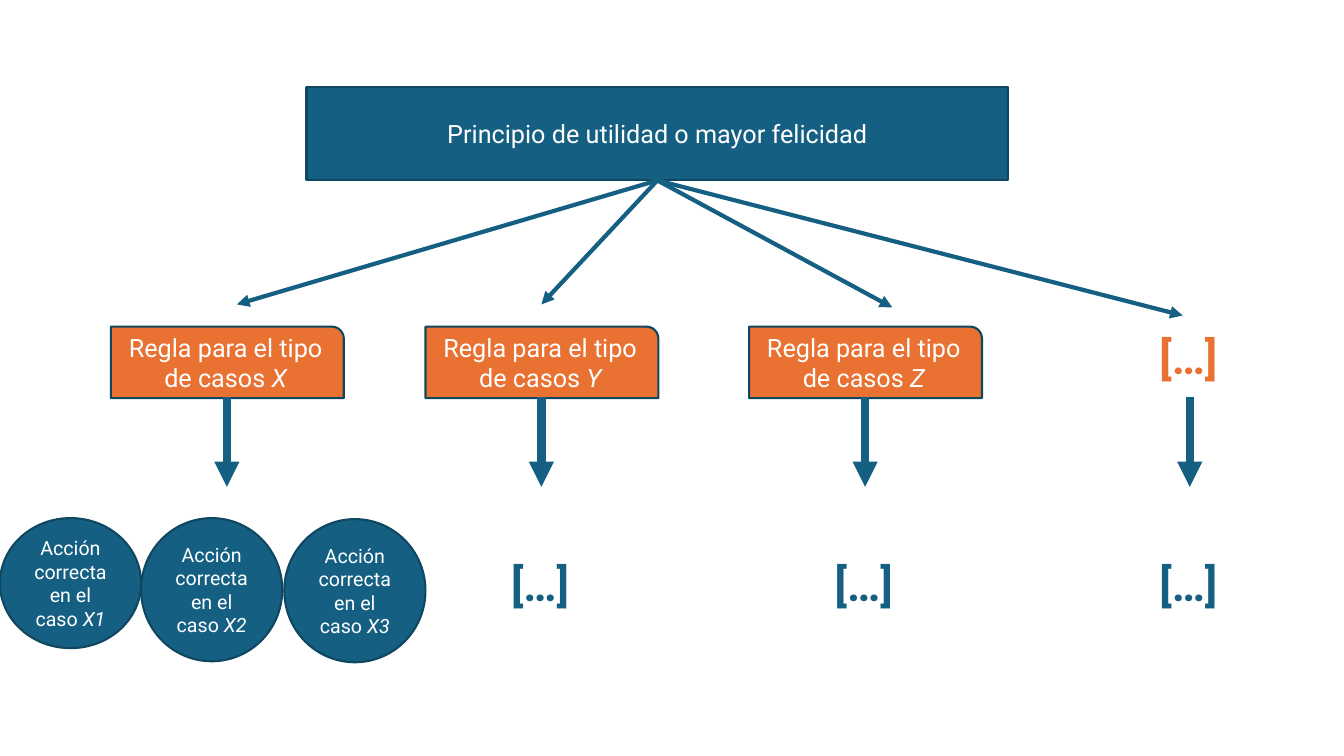
from lxml import etree
from pptx import Presentation
from pptx.dml.color import RGBColor
from pptx.enum.shapes import MSO_CONNECTOR, MSO_SHAPE
from pptx.enum.text import MSO_ANCHOR, MSO_AUTO_SIZE, PP_ALIGN
from pptx.oxml.ns import qn
from pptx.util import Inches, Pt

RECTANGLE = MSO_SHAPE.RECTANGLE
RULE_SHAPE = MSO_SHAPE.ROUND_1_RECTANGLE
OVAL = MSO_SHAPE.OVAL
STRAIGHT = MSO_CONNECTOR.STRAIGHT
CENTER = PP_ALIGN.CENTER
MIDDLE = MSO_ANCHOR.MIDDLE
FIT_SHAPE = MSO_AUTO_SIZE.SHAPE_TO_FIT_TEXT
BLUE, DARK_BLUE, ORANGE, WHITE = "156082", "104760", "E97132", "FFFFFF"
color = RGBColor.from_string


def add_run(paragraph, text, size, hex_color, **formats):
    run = paragraph.add_run()
    run.text = text
    run.font.color.rgb = color(hex_color)
    for name, value in {"name": "Roboto", "size": Pt(size), **formats}.items():
        setattr(run.font, name, value)


def add_arrow(start, end, width):
    points = [Inches(value) for value in (*start, *end)]
    connector = slide.shapes.add_connector(STRAIGHT, *points)
    connector.line.color.rgb = color(BLUE)
    connector.line.width = Pt(width)
    etree.SubElement(connector.line._get_or_add_ln(), qn("a:tailEnd"), type="triangle")
    etree.SubElement(connector._element.spPr, qn("a:effectLst"))


presentation = Presentation()
presentation.slide_width = Inches(13.33)
presentation.slide_height = Inches(7.5)
slide = presentation.slides.add_slide(presentation.slide_layouts[6])

rule_text = "Regla para el tipo de casos "
action_text = "Acción correcta en el caso "
boxes = [
    (RECTANGLE, (3.04, 0.86, 6.96, 0.93), BLUE, 18, "Principio de utilidad o mayor felicidad", ""),
    (RULE_SHAPE, (1.1, 3.24, 2.31, 0.71), ORANGE, 18, rule_text, "X"),
    (RULE_SHAPE, (4.22, 3.24, 2.31, 0.71), ORANGE, 18, rule_text, "Y"),
    (RULE_SHAPE, (7.43, 3.24, 2.31, 0.71), ORANGE, 18, rule_text, "Z"),
    (OVAL, (0, 5.14, 1.4, 1.29), BLUE, 14, action_text, "X1"),
    (OVAL, (1.4, 5.14, 1.4, 1.42), BLUE, 14, action_text, "X2"),
    (OVAL, (2.82, 5.15, 1.4, 1.42), BLUE, 14, action_text, "X3"),
]
for kind, bounds, fill, size, text, case in boxes:
    shape = slide.shapes.add_shape(kind, *[Inches(value) for value in bounds])
    shape.shadow.inherit = False
    shape.fill.solid()
    shape.fill.fore_color.rgb = color(fill)
    shape.line.color.rgb = color(DARK_BLUE)
    shape.line.width = Pt(1.5)
    shape.text_frame.word_wrap = True
    shape.text_frame.vertical_anchor = MIDDLE
    paragraph = shape.text_frame.paragraphs[0]
    paragraph.alignment = CENTER
    add_run(paragraph, text, size, WHITE)
    if case:
        add_run(paragraph, case, size, WHITE, italic=True)

for center in (2.25, 5.37, 8.58, 11.8):
    add_arrow((center, 3.94), (center, 4.83), 6)

for left, top, hex_color in [
    (4.97, 5.47, BLUE),
    (8.18, 5.47, BLUE),
    (11.4, 3.22, ORANGE),
    (11.4, 5.47, BLUE),
]:
    ellipsis_box = slide.shapes.add_textbox(Inches(left), Inches(top), Inches(0.81), Inches(0.64))
    ellipsis_box.text_frame.word_wrap = False
    ellipsis_box.text_frame.auto_size = FIT_SHAPE
    add_run(ellipsis_box.text_frame.paragraphs[0], "[…]", 32, hex_color, bold=True)

for target in [(2.35, 3.02), (5.37, 3.02), (8.85, 3.05), (11.73, 3.13)]:
    add_arrow((6.52, 1.79), target, 3)

presentation.save("out.pptx")
